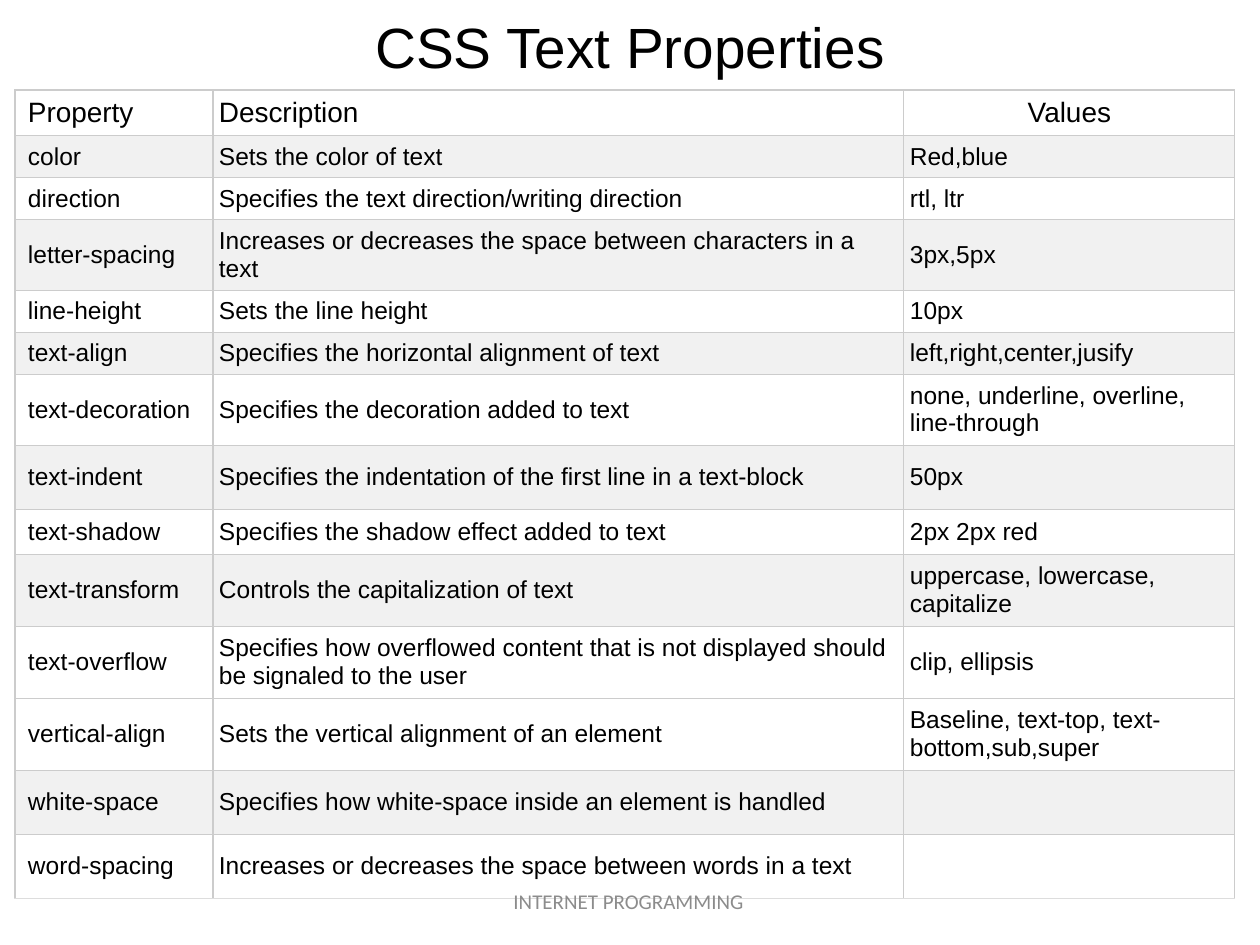
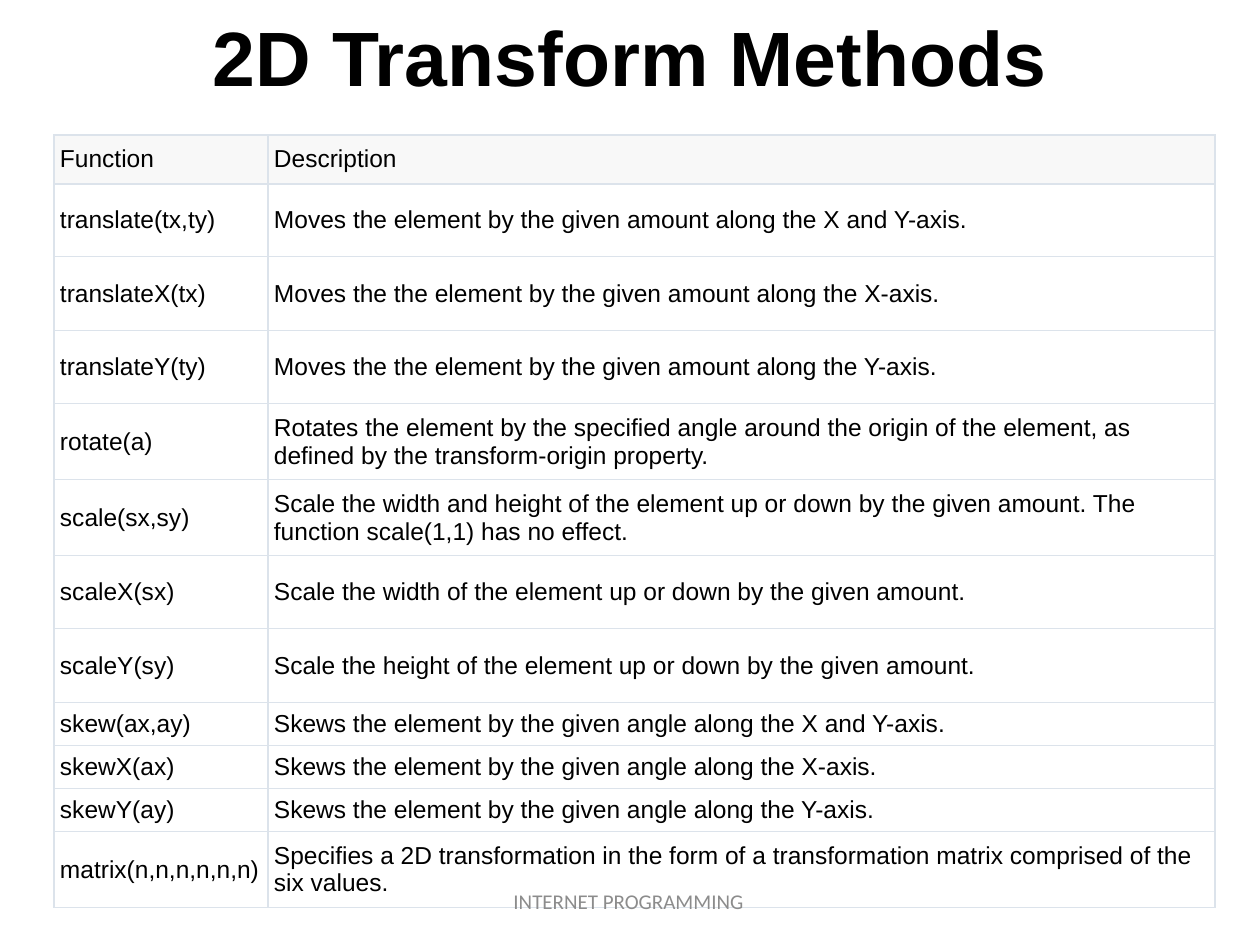
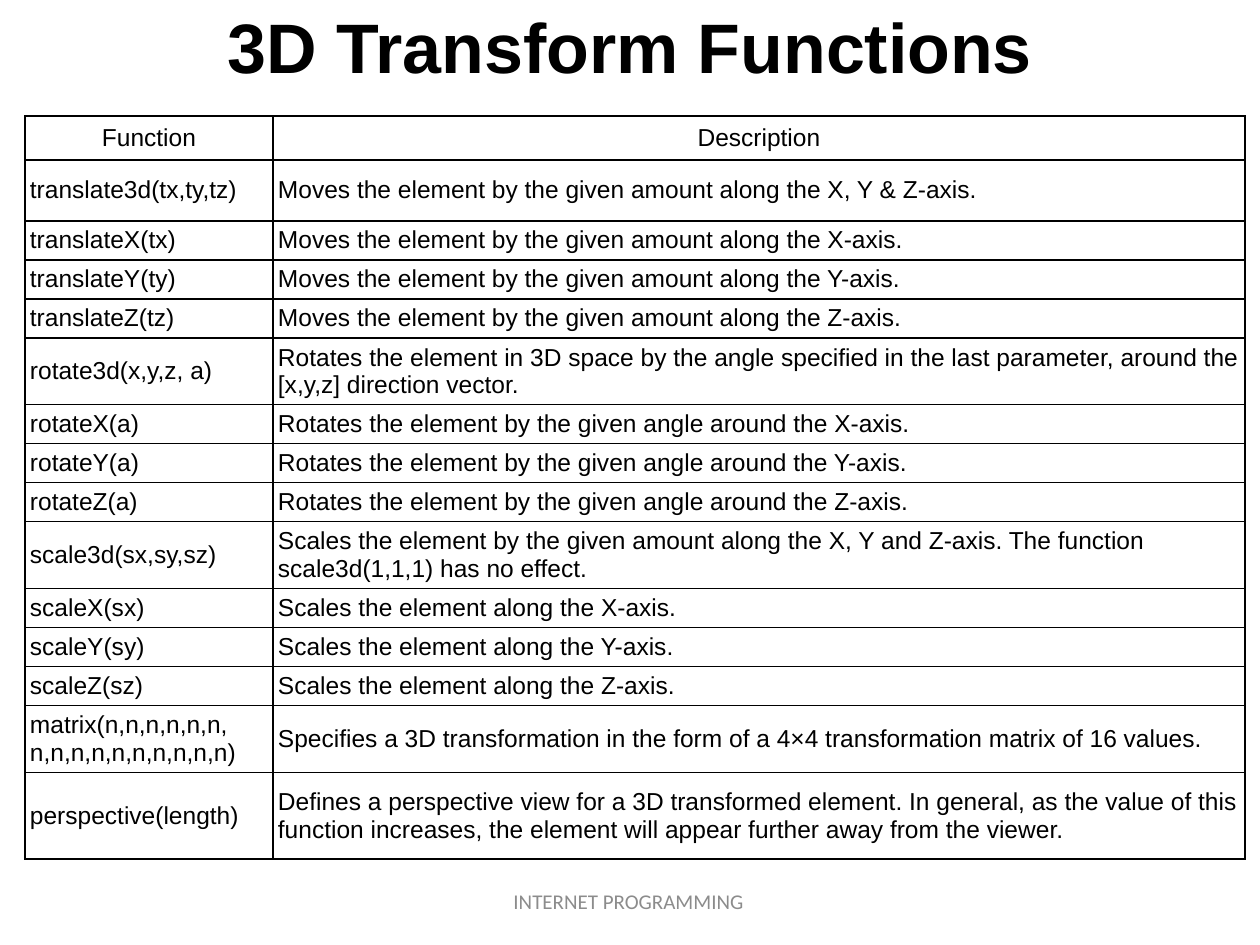
from lxml import etree
from pptx import Presentation
from pptx import util as u
from pptx.dml.color import RGBColor
from pptx.enum import text
from pptx.oxml import ns

PX = 914400 / 126
COLORS = {
    "ink": "000000",
    "footer": "8C8C8C",
    "white": "FFFFFF",
    "band": "F1F1F1",
    "head": "F8F8F8",
    "grey_line": "CCCCCC",
    "end_line": "DDDDDD",
    "blue_line": "DCE3EB",
}
CENTER = text.PP_ALIGN.CENTER
LEFT = text.PP_ALIGN.LEFT
MIDDLE = text.MSO_ANCHOR.MIDDLE

css_rows = [
    ("Property", "Description", "Values"),
    ("color", "Sets the color of text", "Red,blue"),
    ("direction", "Specifies the text direction/writing direction", "rtl, ltr"),
    ("letter-spacing", "Increases or decreases the space between characters in a text", "3px,5px"),
    ("line-height", "Sets the line height", "10px"),
    ("text-align", "Specifies the horizontal alignment of text", "left,right,center,jusify"),
    ("text-decoration", "Specifies the decoration added to text", "none, underline, overline, line-through"),
    ("text-indent", "Specifies the indentation of the first line in a text-block", "50px"),
    ("text-shadow", "Specifies the shadow effect added to text", "2px 2px red"),
    ("text-transform", "Controls the capitalization of text", "uppercase, lowercase, capitalize"),
    ("text-overflow",
     "Specifies how overflowed content that is not displayed should be signaled to the user",
     "clip, ellipsis"),
    ("vertical-align", "Sets the vertical alignment of an element",
     "Baseline, text-top, text-bottom,sub,super"),
    ("white-space", "Specifies how white-space inside an element is handled", ""),
    ("word-spacing", "Increases or decreases the space between words in a text", ""),
]
methods_2d = [
    ("Function", "Description"),
    ("translate(tx,ty)", "Moves the element by the given amount along the X and Y-axis."),
    ("translateX(tx)", "Moves the the element by the given amount along the X-axis."),
    ("translateY(ty)", "Moves the the element by the given amount along the Y-axis."),
    ("rotate(a)",
     "Rotates the element by the specified angle around the origin of the element, "
     "as defined by the transform-origin property."),
    ("scale(sx,sy)",
     "Scale the width and height of the element up or down by the given amount. "
     "The function scale(1,1) has no effect."),
    ("scaleX(sx)", "Scale the width of the element up or down by the given amount."),
    ("scaleY(sy)", "Scale the height of the element up or down by the given amount."),
    ("skew(ax,ay)", "Skews the element by the given angle along the X and Y-axis."),
    ("skewX(ax)", "Skews the element by the given angle along the X-axis."),
    ("skewY(ay)", "Skews the element by the given angle along the Y-axis."),
    ("matrix(n,n,n,n,n,n)",
     "Specifies a 2D transformation in the form of a transformation matrix comprised of the six values."),
]
functions_3d = [
    ("Function", "Description"),
    ("translate3d(tx,ty,tz)", "Moves the element by the given amount along the X, Y & Z-axis."),
    ("translateX(tx)", "Moves the element by the given amount along the X-axis."),
    ("translateY(ty)", "Moves the element by the given amount along the Y-axis."),
    ("translateZ(tz)", "Moves the element by the given amount along the Z-axis."),
    ("rotate3d(x,y,z, a)",
     "Rotates the element in 3D space by the angle specified in the last parameter, "
     "around the [x,y,z] direction vector."),
    ("rotateX(a)", "Rotates the element by the given angle around the X-axis."),
    ("rotateY(a)", "Rotates the element by the given angle around the Y-axis."),
    ("rotateZ(a)", "Rotates the element by the given angle around the Z-axis."),
    ("scale3d(sx,sy,sz)",
     "Scales the element by the given amount along the X, Y and Z-axis. "
     "The function scale3d(1,1,1) has no effect."),
    ("scaleX(sx)", "Scales the element along the X-axis."),
    ("scaleY(sy)", "Scales the element along the Y-axis."),
    ("scaleZ(sz)", "Scales the element along the Z-axis."),
    ("matrix(n,n,n,n,n,n, n,n,n,n,n,n,n,n,n,n)",
     "Specifies a 3D transformation in the form of a 4×4 transformation matrix of 16 values."),
    ("perspective(length)",
     "Defines a perspective view for a 3D transformed element. In general, as the value of this "
     "function increases, the element will appear further away from the viewer."),
]

pages = [
    dict(title="CSS Text Properties", title_box=(63, 6, 1134, 80), size=32.4, bold=False,
         rows=css_rows, at=(15, 90), cols=(198, 691, 331),
         heights=(43, 42, 42, 67, 42, 42, 71, 64, 45, 72, 72, 72, 64, 64),
         head_size=16, head_align=(LEFT, LEFT, CENTER), first_inset=13, inset=6,
         head_pad=6, pad=6, line="grey_line", end_line="end_line", weight=0.75,
         fills=["white", "band"] * 5 + ["white", "white", "band", "white"]),
    dict(title="2D Transform Methods", title_box=(63, -4, 1134, 119), size=44, bold=True,
         rows=methods_2d, at=(54, 135), cols=(214, 947),
         heights=(49, 73, 74, 73, 76, 76, 73, 74, 43, 43, 43, 76),
         head_size=14, head_align=(LEFT, LEFT), first_inset=6, inset=6,
         head_pad=8, pad=5, line="blue_line", end_line="blue_line", weight=0.75,
         fills=["head"] + ["white"] * 11),
    dict(title="3D Transform Functions", title_box=(63, -4, 1134, 100), size=40, bold=True,
         rows=functions_3d, at=(25, 116), cols=(248, 972),
         heights=(44, 61, 39, 39, 39, 63, 39, 39, 39, 63, 39, 39, 39, 62, 87),
         head_size=14, head_align=(CENTER, CENTER), first_inset=5, inset=5,
         head_pad=6, pad=4, line="ink", end_line="ink", weight=1,
         fills=[None] * 15),
]


def emu(px):
    return u.Emu(round(px * PX))


def write(tf, words, size, color="ink", font="Arial", bold=False, align=CENTER):
    tf.word_wrap = True
    p = tf.paragraphs[0]
    p.alignment = align
    p.font.size = u.Pt(size)
    p.font.name = font
    p.font.bold = bold
    p.font.color.rgb = RGBColor.from_string(COLORS[color])
    if words:
        p.add_run().text = words


prs = Presentation()
prs.slide_width, prs.slide_height = emu(1260), emu(945)

for page in pages:
    s = prs.slides.add_slide(prs.slide_layouts[6])
    title = s.shapes.add_textbox(*map(emu, page["title_box"]))
    title.text_frame.vertical_anchor = MIDDLE
    write(title.text_frame, page["title"], page["size"], bold=page["bold"])

    rows, cols, heights = page["rows"], page["cols"], page["heights"]
    table = s.shapes.add_table(len(rows), len(cols), *map(emu, page["at"]),
                               emu(sum(cols)), emu(sum(heights))).table
    table.first_row = table.horz_banding = False
    for column, width in zip(table.columns, cols):
        column.width = emu(width)

    for i, row in enumerate(rows):
        table.rows[i].height = emu(heights[i])
        head = i == 0
        for j, words in enumerate(row):
            cell = table.cell(i, j)
            cell.vertical_anchor = MIDDLE
            cell.margin_left = emu(page["inset"] if j else page["first_inset"])
            cell.margin_right = emu(page["inset"])
            cell.margin_top = cell.margin_bottom = emu(page["head_pad"] if head else page["pad"])
            write(cell.text_frame, words, page["head_size"] if head else 14,
                  align=page["head_align"][j] if head else LEFT)
            if page["fills"][i]:
                cell.fill.solid()
                cell.fill.fore_color.rgb = RGBColor.from_string(COLORS[page["fills"][i]])
            else:
                cell.fill.background()
            tcPr = cell._tc.get_or_add_tcPr()
            for k, side in enumerate("LRTB"):
                last = side == "B" and i == len(rows) - 1
                ln = etree.Element(ns.qn("a:ln" + side), w=str(u.Pt(page["weight"])))
                fill = etree.SubElement(ln, ns.qn("a:solidFill"))
                etree.SubElement(fill, ns.qn("a:srgbClr"),
                                 val=COLORS[page["end_line" if last else "line"]])
                tcPr.insert(k, ln)

    footer = s.shapes.add_textbox(*map(emu, (431, 876, 400, 50)))
    footer.text_frame.vertical_anchor = MIDDLE
    write(footer.text_frame, "INTERNET PROGRAMMING ", 12, "footer", "Calibri")

prs.save("out.pptx")
